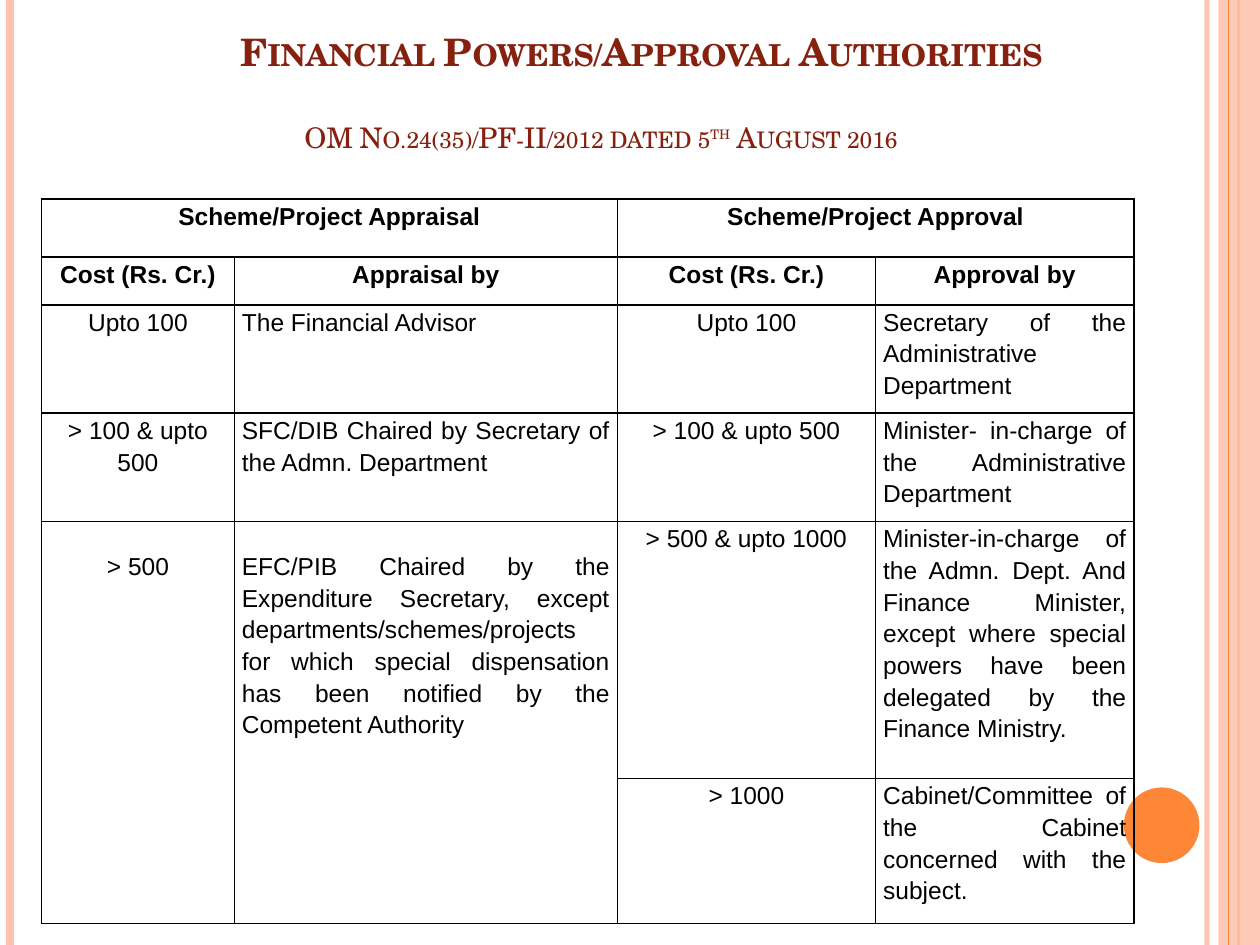
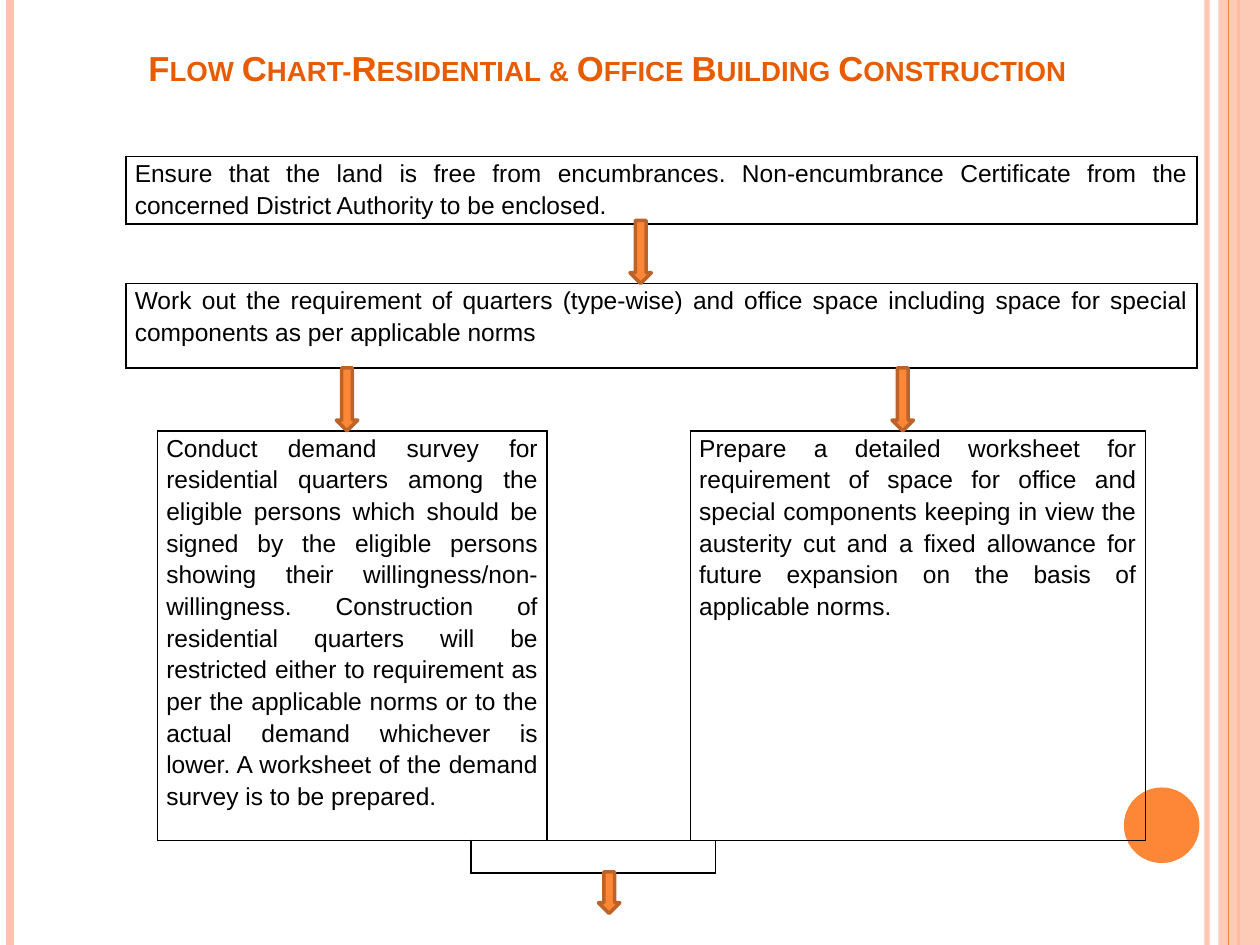
from dataclasses import dataclass
from typing import NamedTuple

from lxml.etree import SubElement
from pptx import Presentation
from pptx.dml.color import RGBColor
from pptx.enum.shapes import MSO_CONNECTOR as Connector, MSO_SHAPE as Shape
from pptx.enum.text import PP_ALIGN as Align
from pptx.oxml.ns import qn
from pptx.util import Inches, Pt

BLACK = RGBColor(0x00, 0x00, 0x00)
PEACH = RGBColor(0xFE, 0xC3, 0xAE)
ORANGE = RGBColor(0xFE, 0x86, 0x37)
ARROW_EDGE = RGBColor(0xBC, 0x63, 0x29)
MAROON = RGBColor(0x86, 0x21, 0x10)
DEEP_ORANGE = RGBColor(0xE7, 0x5C, 0x01)
SERIF = "TeX Gyre Schola"
SANS = "Arial"
PAGE_WIDTH, PAGE_HEIGHT = 10, 7.5
BODY_SIZE = Pt(14)
EDGE_TAGS = {"l": "a:lnL", "r": "a:lnR", "t": "a:lnT", "b": "a:lnB"}


class Stripe(NamedTuple):
    x: float
    color: RGBColor
    weight: float
    opacity: int = 100


class Heading(NamedTuple):
    left: float
    top: float
    width: float
    spans: tuple[str, ...]
    font: str
    size: float
    color: RGBColor
    align: Align = Align.CENTER
    bold: bool = True
    raised: int = -1  # index of the superscript span


@dataclass(frozen=True)
class Entry:
    """A table cell with text, spanning rows and columns from its own place."""
    text: str = ""
    align: Align = Align.JUSTIFY
    bold: bool = False
    rows: int = 1
    cols: int = 1
    top: float = 0
    edges: str = "lrtb"


@dataclass(frozen=True)
class Grid:
    left: float
    top: float
    cols: tuple[float, ...]
    rows: tuple[float, ...]
    entries: dict[tuple[int, int], Entry]
    side: float = 0.07


class Arrow(NamedTuple):
    left: float
    top: float
    height: float = 0.5


LOWER_STRIPES = (Stripe(9.58, PEACH, 3, 93), Stripe(0.08, PEACH, 4.5), Stripe(9.83, ORANGE, 1.5))
UPPER_STRIPE = Stripe(9.75, ORANGE, 0.75)


def set_opacity(properties, percent: int) -> None:
    if percent < 100:
        color = next(properties.iter(qn("a:srgbClr")))
        SubElement(color, qn("a:alpha"), val=str(percent * 1000))


def draw_stripe(page, stripe: Stripe) -> None:
    x = Inches(stripe.x)
    line = page.shapes.add_connector(Connector.STRAIGHT, x, 0, x, Inches(PAGE_HEIGHT))
    line.line.color.rgb = stripe.color
    line.line.width = Pt(stripe.weight)
    properties = line._element.spPr
    set_opacity(properties, stripe.opacity)
    SubElement(properties, qn("a:effectLst"))


def draw_shape(page, kind: Shape, left: float, top: float, width: float, height: float):
    shape = page.shapes.add_shape(kind, Inches(left), Inches(top), Inches(width), Inches(height))
    shape.shadow.inherit = False
    shape.fill.solid()
    shape.fill.fore_color.rgb = ORANGE
    shape.line.fill.background()
    return shape


def draw_arrow(page, arrow: Arrow) -> None:
    shape = draw_shape(page, Shape.DOWN_ARROW, arrow.left, arrow.top, 0.17, arrow.height)
    shape.line.color.rgb = ARROW_EDGE
    shape.line.width = Pt(2)


def add_page(deck):
    """Add a blank slide with the shared stripes, band and disc."""
    page = deck.slides.add_slide(deck.slide_layouts[6])
    for stripe in LOWER_STRIPES:
        draw_stripe(page, stripe)
    band = draw_shape(page, Shape.RECTANGLE, 9.67, 0, PAGE_WIDTH - 9.67, PAGE_HEIGHT)
    band.fill.fore_color.rgb = PEACH
    set_opacity(band._element.spPr, 87)
    draw_stripe(page, UPPER_STRIPE)
    draw_shape(page, Shape.OVAL, 8.92, 6.25, 0.6, 0.6)
    return page


def draw_heading(page, heading: Heading) -> None:
    box = page.shapes.add_textbox(Inches(heading.left), Inches(heading.top),
                                  Inches(heading.width), Inches(0.5))
    frame = box.text_frame
    frame.word_wrap = True
    frame.margin_top = frame.margin_bottom = 0
    para = frame.paragraphs[0]
    para.alignment = heading.align
    for index, text in enumerate(heading.spans):
        span = para.add_run()
        span.text = text
        span.font.name = heading.font
        span.font.size = Pt(heading.size)
        span.font.bold = heading.bold
        span.font.color.rgb = heading.color
        properties = span._r.get_or_add_rPr()
        properties.set("cap", "small")
        if index == heading.raised:
            properties.set("baseline", "30000")


def set_edges(cell, edges: str) -> None:
    """Rule the named sides in black and clear the others."""
    properties = cell._tc.get_or_add_tcPr()
    for side, tag in EDGE_TAGS.items():
        line = SubElement(properties, qn(tag), w=str(Pt(1)))
        if side in edges:
            fill = SubElement(line, qn("a:solidFill"))
            SubElement(fill, qn("a:srgbClr"), val=str(BLACK))
        else:
            SubElement(line, qn("a:noFill"))


def write_entry(cell, entry: Entry, side: float) -> None:
    cell.margin_left = cell.margin_right = Inches(side)
    cell.margin_top, cell.margin_bottom = Inches(entry.top), 0
    para = cell.text_frame.paragraphs[0]
    if not entry.text:
        SubElement(para._p, qn("a:endParaRPr"), sz="1000")
        return
    para.text = entry.text
    para.alignment = entry.align
    para.line_spacing = 1.15
    font = para.runs[0].font
    font.name, font.size, font.bold = SANS, BODY_SIZE, entry.bold
    font.color.rgb = BLACK


def draw_grid(page, grid: Grid) -> None:
    frame = page.shapes.add_table(len(grid.rows), len(grid.cols), Inches(grid.left),
                                  Inches(grid.top), Inches(sum(grid.cols)),
                                  Inches(sum(grid.rows)))
    table = frame.table
    table.first_row = table.horz_banding = False
    for column, width in zip(table.columns, grid.cols):
        column.width = Inches(width)
    for row, height in zip(table.rows, grid.rows):
        row.height = Inches(height)
    for (row, col), entry in grid.entries.items():
        for r in range(row, row + entry.rows):
            for c in range(col, col + entry.cols):
                cell = table.cell(r, c)
                set_edges(cell, entry.edges)
                cell.fill.background()
                write_entry(cell, entry if (r, c) == (row, col) else Entry(), grid.side)
        if entry.rows * entry.cols > 1:
            table.cell(row, col).merge(table.cell(row + entry.rows - 1, col + entry.cols - 1))


def header(text: str, cols: int = 1) -> Entry:
    return Entry(text, Align.CENTER, bold=True, cols=cols)


def cost(text: str, rows: int = 1, top: float = 0) -> Entry:
    return Entry(text, Align.CENTER, rows=rows, top=top)


POWERS_HEADINGS = (
    Heading(0.59, 0.23, 9, ("Financial Powers/Approval Authorities",), SERIF, 21.6, MAROON),
    Heading(0.27, 0.95, 9, ("OM No.24(35)/PF-II/2012 dated 5", "th", " August 2016"),
            SERIF, 16.2, MAROON, bold=False, raised=1),
)
POWERS = Grid(0.33, 1.58, (1.53, 3.04, 2.05, 2.05), (0.46, 0.38, 0.86, 0.86, 2.04, 1.15), {
    (0, 0): header("Scheme/Project Appraisal", 2),
    (0, 2): header("Scheme/Project Approval", 2),
    (1, 0): header("Cost (Rs. Cr.)"),
    (1, 1): header("Appraisal by"),
    (1, 2): header("Cost (Rs. Cr.)"),
    (1, 3): header("Approval by"),
    (2, 0): cost("Upto 100"),
    (2, 1): Entry("The Financial Advisor"),
    (2, 2): cost("Upto 100"),
    (2, 3): Entry("Secretary of the Administrative Department"),
    (3, 0): cost("> 100 & upto 500"),
    (3, 1): Entry("SFC/DIB Chaired by Secretary of the Admn. Department"),
    (3, 2): cost("> 100 & upto 500"),
    (3, 3): Entry("Minister- in-charge of the Administrative Department"),
    (4, 0): cost("> 500", rows=2, top=0.22),
    (4, 1): Entry("EFC/PIB Chaired by the Expenditure Secretary, except "
                  "departments/schemes/projects for which special dispensation has been "
                  "notified by the Competent Authority", rows=2, top=0.22),
    (4, 2): cost("> 500 & upto 1000"),
    (4, 3): Entry("Minister-in-charge of the Admn. Dept. And Finance Minister, except where "
                  "special powers have been delegated by the Finance Ministry."),
    (5, 2): cost("> 1000"),
    (5, 3): Entry("Cabinet/Committee of the Cabinet concerned with the subject."),
}, side=0.06)

FLOW_HEADING = Heading(1.08, 0.37, 8.5, ("Flow Chart-Residential & Office Building Construction",),
                       SANS, 19.8, DEEP_ORANGE, Align.LEFT)
FLOW_STEPS = (
    Grid(1, 1.24, (8.5,), (0.5,), {
        (0, 0): Entry("Ensure that the land is free from encumbrances. Non-encumbrance "
                      "Certificate from the concerned District Authority to be enclosed."),
    }),
    Grid(1, 2.25, (8.5,), (0.67,), {
        (0, 0): Entry("Work out the requirement of quarters (type-wise) and office space "
                      "including space for special components as per applicable norms"),
    }),
    Grid(1.25, 3.42, (2.49, 0.6, 1.14, 0.2, 3.41), (3.25, 0.26), {
        (0, 0): Entry("Conduct demand survey for residential quarters among the eligible "
                      "persons which should be signed by the eligible persons showing their "
                      "willingness/non-willingness. Construction of residential quarters will "
                      "be restricted either to requirement as per the applicable norms or to "
                      "the actual demand whichever is lower. A worksheet of the demand survey "
                      "is to be prepared.", cols=2),
        (0, 2): Entry(edges="lrb"),
        (0, 3): Entry("Prepare a detailed worksheet for requirement of space for office and "
                      "special components keeping in view the austerity cut and a fixed "
                      "allowance for future expansion on the basis of applicable norms.", cols=2),
        (1, 0): Entry(edges="tr"),
        (1, 1): Entry(cols=3),
        (1, 4): Entry(edges="lt"),
    }),
)
FLOW_ARROWS = (Arrow(5, 1.75), Arrow(2.67, 2.92), Arrow(7.08, 2.92), Arrow(4.75, 6.92, 0.33))


def main() -> None:
    deck = Presentation()
    deck.slide_width, deck.slide_height = Inches(PAGE_WIDTH), Inches(PAGE_HEIGHT)

    powers_page = add_page(deck)
    for heading in POWERS_HEADINGS:
        draw_heading(powers_page, heading)
    draw_grid(powers_page, POWERS)

    flow_page = add_page(deck)
    draw_heading(flow_page, FLOW_HEADING)
    for step in FLOW_STEPS:
        draw_grid(flow_page, step)
    for arrow in FLOW_ARROWS:
        draw_arrow(flow_page, arrow)

    deck.save("out.pptx")


if __name__ == "__main__":
    main()
